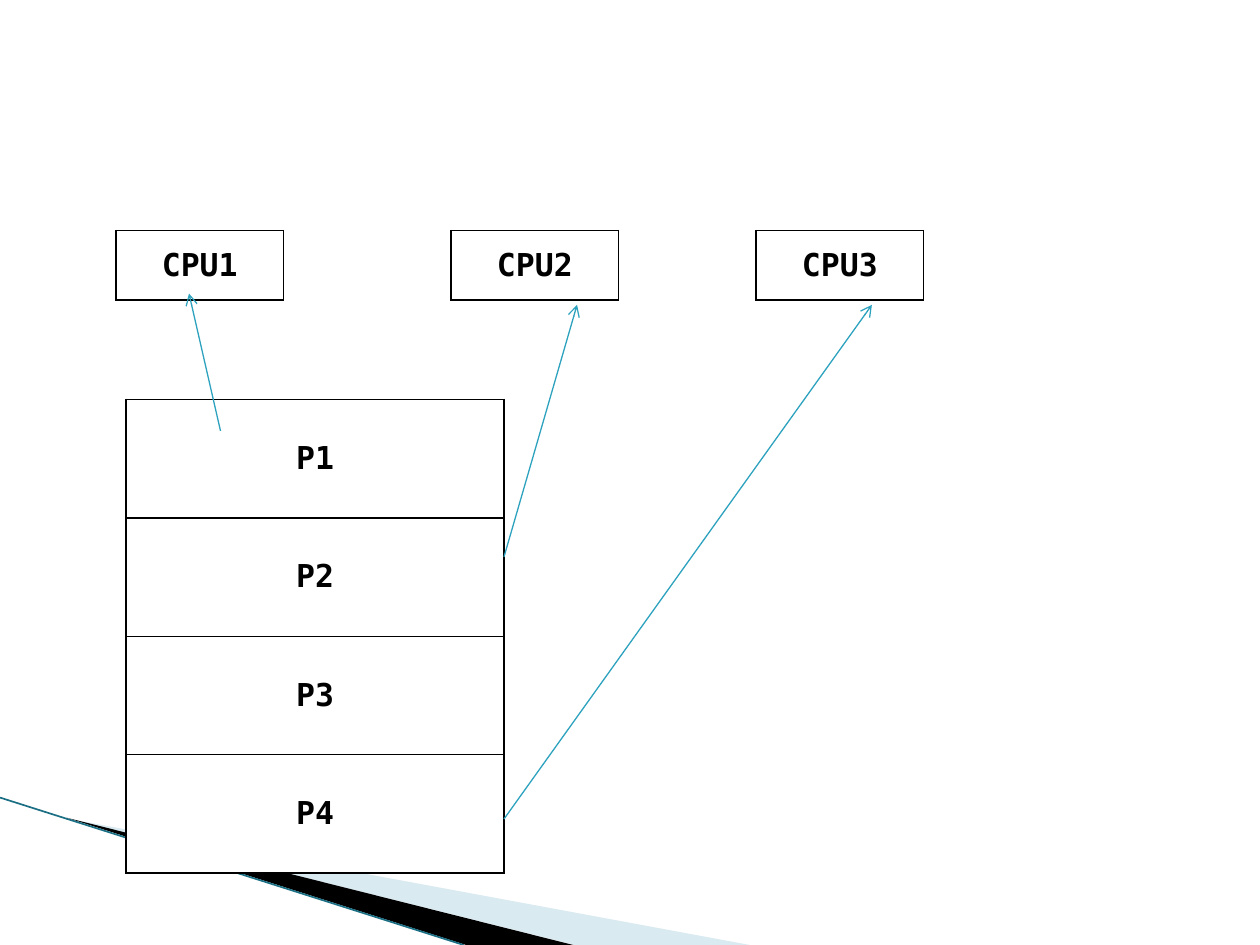
import pptx
import pptx.util
import pptx.dml.color
import pptx.enum.shapes
import pptx.enum.text
import pptx.oxml
import pptx.oxml.ns
from lxml import etree
from pptx.util import Inches

COLORS = {
    "ink": "000000",
    "cell": "FFFFFF",
    "arrow": "2DA2BF",
    "swoosh": "A0CBDC",
    "edge": "1B6F84",
}
RGB = {name: pptx.dml.color.RGBColor.from_string(value) for name, value in COLORS.items()}
qn = pptx.oxml.ns.qn


def add_boxes(labels, left, top, width, row_height):
    """Add a one-column table with a bordered row for each label."""
    table = slide.shapes.add_table(
        len(labels), 1, Inches(left), Inches(top),
        Inches(width), Inches(row_height * len(labels))).table
    table.first_row = table.horz_banding = False
    for row, label in enumerate(labels):
        cell = table.cell(row, 0)
        cell.vertical_anchor = pptx.enum.text.MSO_ANCHOR.MIDDLE
        cell.fill.solid()
        cell.fill.fore_color.rgb = RGB["cell"]
        for position, side in enumerate(("lnL", "lnR", "lnT", "lnB")):
            border = pptx.oxml.parse_xml(
                f'<a:{side} {pptx.oxml.ns.nsdecls("a")} w="12700"><a:solidFill>'
                f'<a:srgbClr val="{COLORS["ink"]}"/></a:solidFill></a:{side}>')
            cell._tc.get_or_add_tcPr().insert(position, border)
        paragraph = cell.text_frame.paragraphs[0]
        paragraph.alignment = pptx.enum.text.PP_ALIGN.CENTER
        run = paragraph.add_run()
        run.text = label
        run.font.name = "DejaVu Sans Mono"
        run.font.size = pptx.util.Pt(18)
        run.font.bold = True
        run.font.color.rgb = RGB["ink"]


def add_line(start, end, color, width):
    line = slide.shapes.add_connector(
        pptx.enum.shapes.MSO_CONNECTOR.STRAIGHT,
        *(Inches(value) for value in start + end))
    line.line.color.rgb = RGB[color]
    line.line.width = pptx.util.Pt(width)
    etree.SubElement(line._element.spPr, qn("a:effectLst"))
    return line


deck = pptx.Presentation()
deck.slide_width, deck.slide_height = Inches(10), Inches(7.5)
slide = deck.slides.add_slide(deck.slide_layouts[6])

# Corner decoration
wedges = [
    ("swoosh", 40, [(0.55, 6.5), (5.95, 7.5), (4.56, 7.5)]),
    ("ink", 100, [(0.53, 6.49), (4.55, 7.5), (3.7, 7.5)]),
]
for color, opacity, points in wedges:
    corners = [(Inches(x), Inches(y)) for x, y in points]
    outline = slide.shapes.build_freeform(*corners[0])
    outline.add_line_segments(corners[1:], close=True)
    wedge = outline.convert_to_shape()
    wedge.shadow.inherit = False
    wedge.line.fill.background()
    wedge.fill.solid()
    wedge.fill.fore_color.rgb = RGB[color]
    if opacity < 100:
        fill_color = wedge._element.spPr.find(qn("a:solidFill"))[0]
        etree.SubElement(fill_color, qn("a:alpha"), val=str(opacity * 1000))
add_line((0, 6.33), (3.68, 7.5), "edge", 0.95)

# Processors and the queue of processes
for number, left in enumerate((0.92, 3.58, 6), start=1):
    add_boxes([f"CPU{number}"], left, 1.83, 1.33, 0.55)
add_boxes([f"P{number}" for number in range(1, 5)], 1, 3.17, 3, 0.94)

# Assignment of processes to processors
assignments = [
    ((4, 6.5), (6.92, 2.42)),
    ((1.75, 3.42), (1.5, 2.33)),
    ((4, 4.42), (4.58, 2.42)),
]
for process, processor in assignments:
    arrow = add_line(process, processor, "arrow", 0.75)
    etree.SubElement(arrow.line._get_or_add_ln(), qn("a:tailEnd"), type="arrow")

deck.save("out.pptx")
